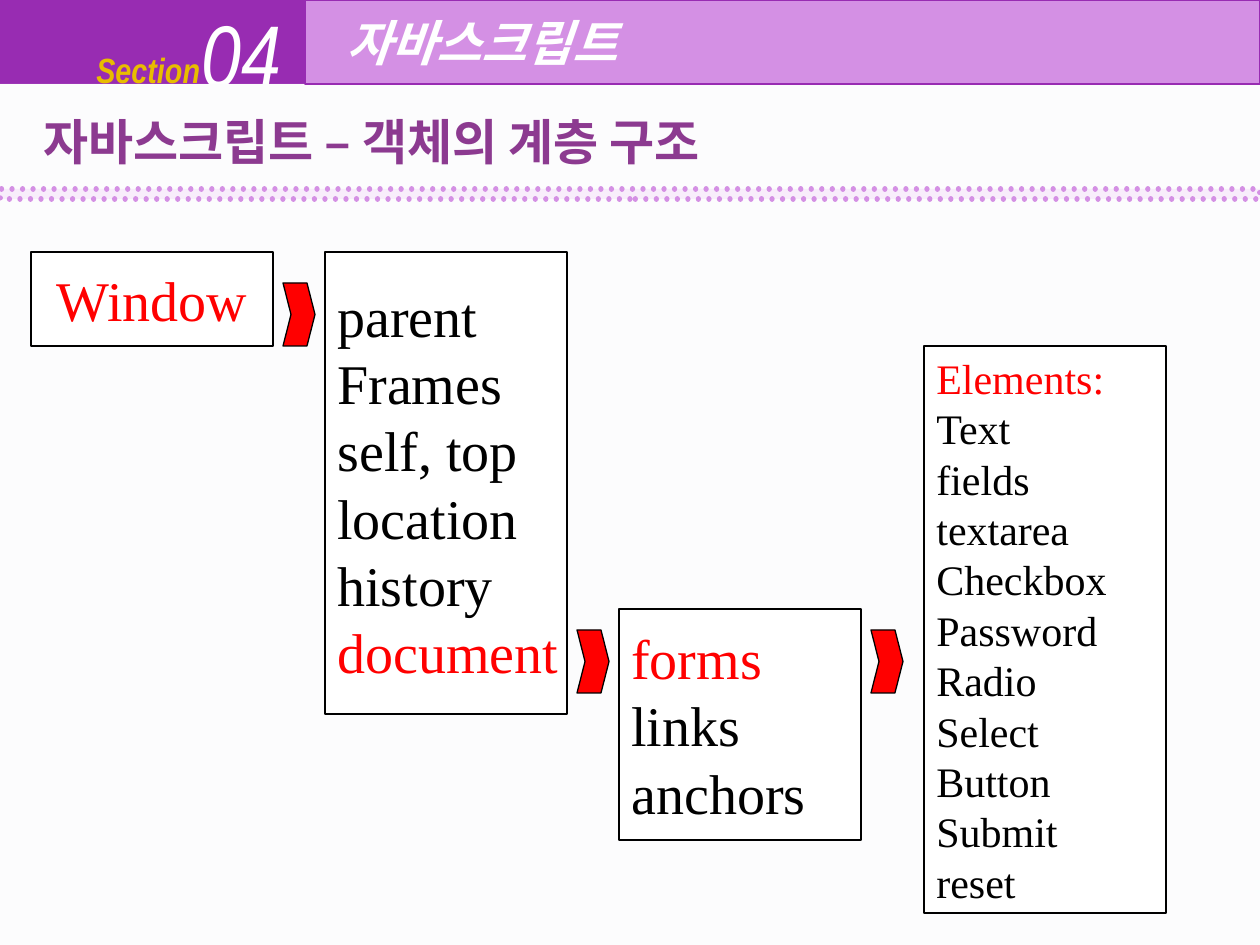
"""Build the slide on the JavaScript object hierarchy."""
from dataclasses import dataclass

from lxml import etree
from pptx import Presentation
from pptx import util as u
from pptx.dml.color import RGBColor
from pptx.enum import dml, shapes, text
from pptx.oxml.ns import qn


@dataclass
class Theme:
    purple: str = "982CB2"
    lilac: str = "D490E4"
    pale: str = "F8EDFB"
    veil: str = "FBFBFD"
    heading: str = "8C3A90"
    gold: str = "E8BC00"
    red: str = "FF0000"
    black: str = "000000"
    white: str = "FFFFFF"
    sans: str = "Roboto"
    narrow: str = "Arial Narrow"
    serif: str = "Times New Roman"
    number: int = 50
    large: int = 32
    title: int = 28
    small: int = 24
    section: int = 20


theme = Theme()
PX = u.Inches(1) / 126


def add_box(kind, bounds, fill=None, line=None, weight=0.75):
    box = page.shapes.add_shape(kind, *(round(n * PX) for n in bounds))
    box.shadow.inherit = False
    if fill:
        box.fill.solid()
        box.fill.fore_color.rgb = RGBColor.from_string(fill)
    else:
        box.fill.background()
    if line:
        box.line.color.rgb = RGBColor.from_string(line)
        box.line.width = u.Pt(weight)
    else:
        box.line.fill.background()
    return box


def style(font, face, size, color, bold=False, italic=False):
    font.name, font.size, font.bold, font.italic = face, u.Pt(size), bold, italic
    font.color.rgb = RGBColor.from_string(color)


deck = Presentation()
deck.slide_width, deck.slide_height = round(1260 * PX), round(945 * PX)
page = deck.slides.add_slide(deck.slide_layouts[5])
rectangle = shapes.MSO_SHAPE.RECTANGLE

add_box(rectangle, (0, 0, 305, 84), theme.purple)
labels = [
    ("Section", (84, 32, 199, 75), theme.section, theme.gold, True),
    ("04", (189, 0, 126, 105), theme.number, theme.white, False),
]
for words, bounds, size, color, bold in labels:
    box = page.shapes.add_textbox(*(round(n * PX) for n in bounds))
    box.text_frame.word_wrap = True
    box.text_frame.vertical_anchor = text.MSO_ANCHOR.MIDDLE
    para = box.text_frame.paragraphs[0]
    para.text = words
    style(para.font, theme.narrow, size, color, bold, True)

veil = add_box(rectangle, (0, 84, 1260, 861), theme.veil)
veil_color = veil.element.spPr.find(qn("a:solidFill")).find(qn("a:srgbClr"))
etree.SubElement(veil_color, qn("a:alpha"), val="50000")

banner = add_box(rectangle, (305, 0, 955, 84), theme.lilac, theme.purple)
banner.text_frame.word_wrap = False
banner.text_frame.margin_left = round(42 * PX)
para = banner.text_frame.paragraphs[0]
para.alignment = text.PP_ALIGN.LEFT
para.text = "자바스크립트"
style(para.font, theme.sans, theme.title, theme.white, True, True)

panels = [
    ((31, 252, 242, 94), theme.large, ["Window"], "Window"),
    ((325, 252, 242, 462), theme.large,
     ["parent", "Frames", "self, top", "location", "history", "document"], "document"),
    ((619, 609, 242, 231), theme.large, ["forms", "links", "anchors"], "forms"),
    ((924, 346, 242, 567), theme.small,
     ["Elements:", "Text", "fields", "textarea", "Checkbox", "Password",
      "Radio", "Select", "Button", "Submit", "reset"], "Elements:"),
]
for bounds, size, names, marked in panels:
    panel = add_box(rectangle, bounds, theme.white, theme.black)
    frame = panel.text_frame
    frame.word_wrap = False
    frame.text = "\n".join(names)
    for para in frame.paragraphs:
        para.alignment = text.PP_ALIGN.CENTER if len(names) == 1 else text.PP_ALIGN.LEFT
        para.line_spacing = u.Pt(size * 1.2)
        style(para.font, theme.serif, size, theme.red if para.text == marked else theme.black)

for left, top in [(283, 283), (577, 630), (871, 630)]:
    arrow = add_box(shapes.MSO_SHAPE.CHEVRON, (left, top, 32, 63), theme.red, theme.black)
    arrow.adjustments[0] = 0.25

title = page.shapes.title
title.element.getparent().append(title.element)
title.left, title.top, title.width, title.height = (round(n * PX) for n in (31, 105, 1157, 72))
frame = title.text_frame
frame.word_wrap = True
frame.auto_size = text.MSO_AUTO_SIZE.SHAPE_TO_FIT_TEXT
frame.vertical_anchor = text.MSO_ANCHOR.TOP
para = frame.paragraphs[0]
para.alignment = text.PP_ALIGN.LEFT
for words, face in [("자바스크립트 ", theme.sans), ("–", theme.serif), (" 객체의 계층 구조", theme.sans)]:
    span = para.add_run()
    span.text = words
    style(span.font, face, theme.title, theme.heading, True)

rule = add_box(rectangle, (0, 189, 1260, 10), theme.pale, theme.lilac, 3)
rule.line.dash_style = dml.MSO_LINE.ROUND_DOT
rule.element.spPr.find(qn("a:ln")).set("cap", "rnd")

deck.save("out.pptx")
